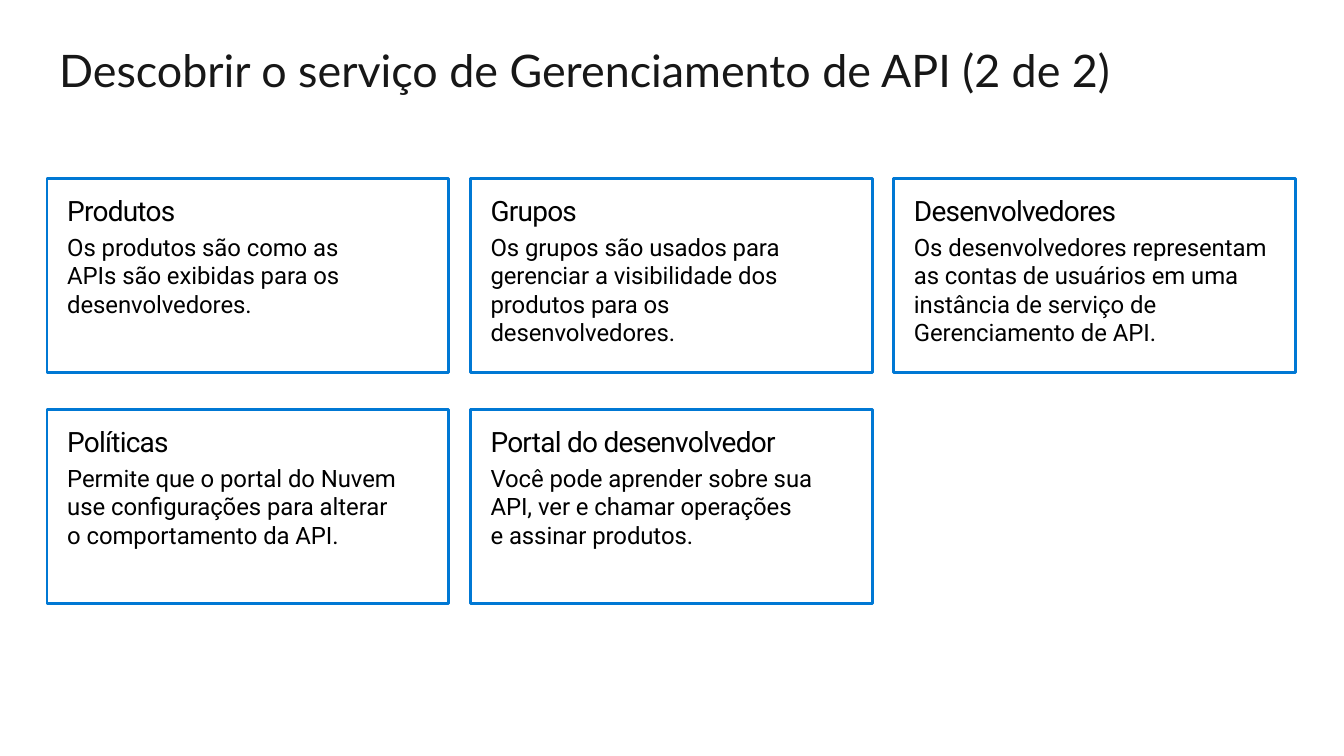
import copy

import pptx
import pptx.dml.color
import pptx.enum.shapes
import pptx.enum.text
import pptx.util

Inches, Pt = pptx.util.Inches, pptx.util.Pt

# Content
TITLE = "Descobrir o serviço de Gerenciamento de API (2 de 2)"
CARDS = [
    ("Produtos", "Os produtos são como as \nAPIs são exibidas para os desenvolvedores."),
    ("Grupos", "Os grupos são usados para gerenciar a visibilidade dos "
               "produtos para os desenvolvedores."),
    ("Desenvolvedores", "Os desenvolvedores representam as contas de usuários em uma "
                        "instância de serviço de Gerenciamento de API."),
    ("Políticas", "Permite que o portal do Nuvem \nuse configurações para alterar \n"
                  "o comportamento da API."),
    ("Portal do desenvolvedor", "Você pode aprender sobre sua API, ver e chamar operações \n"
                                "e assinar produtos."),
]

# Formats
COLORS = {"title": "171717", "text": "000000", "border": "0078D4"}
TITLE_FONT = {"name": "Lato", "size": Pt(24), "bold": False}
HEADING_FONT = {"name": "Roboto", "size": Pt(15)}
BODY_FONT = {"name": "Roboto", "size": Pt(12.75)}
TITLE_FRAME = {"word_wrap": True, "vertical_anchor": pptx.enum.text.MSO_ANCHOR.MIDDLE,
               "auto_size": pptx.enum.text.MSO_AUTO_SIZE.NONE}
CARD_FRAME = {"word_wrap": True, "vertical_anchor": pptx.enum.text.MSO_ANCHOR.TOP,
              "margin_left": Inches(0.15), "margin_top": Inches(0.11),
              "margin_right": Inches(0.15), "margin_bottom": Inches(0.07)}
LEFT_ALIGN = {"alignment": pptx.enum.text.PP_ALIGN.LEFT}
TITLE_PARAGRAPH = {**LEFT_ALIGN, "line_spacing": 0.9}
BODY_PARAGRAPH = {**LEFT_ALIGN, "space_before": Pt(2.9), "space_after": Pt(4.4)}

# Slide and card grid
SLIDE_WIDTH = Inches(10)
SLIDE_HEIGHT = SLIDE_WIDTH * 9 // 16
COLUMNS = 3
LEFT, TOP = 0.35, 1.33
WIDTH, HEIGHT = 2.99, 1.44
COLUMN_GAP, ROW_GAP = 0.16, 0.28


def rgb(name):
    return pptx.dml.color.RGBColor.from_string(COLORS[name])


def apply(target, values):
    for key, value in values.items():
        setattr(target, key, value)


def write(paragraph, text, layout, font, color):
    paragraph.text = text
    apply(paragraph, layout)
    for run in paragraph.runs:
        apply(run.font, font)
        run.font.color.rgb = rgb(color)
    # Line breaks take the text's own size
    for line_break in paragraph._p.xpath("./a:br"):
        line_break.insert(0, copy.deepcopy(paragraph.runs[0].font._rPr))


def add_card(slide, index, heading, body):
    row, column = divmod(index, COLUMNS)
    card = slide.shapes.add_shape(
        pptx.enum.shapes.MSO_SHAPE.RECTANGLE,
        Inches(LEFT + column * (WIDTH + COLUMN_GAP)),
        Inches(TOP + row * (HEIGHT + ROW_GAP)),
        Inches(WIDTH), Inches(HEIGHT))
    card.shadow.inherit = False
    card.fill.background()
    card.line.color.rgb = rgb("border")
    card.line.width = Pt(1.5)

    frame = card.text_frame
    apply(frame, CARD_FRAME)
    card_heading = frame.paragraphs[0]
    write(card_heading, heading, LEFT_ALIGN, HEADING_FONT, "text")
    card_heading.runs[0].font._rPr.set("spc", "-40")
    write(frame.add_paragraph(), body, BODY_PARAGRAPH, BODY_FONT, "text")


def main():
    deck = pptx.Presentation()
    apply(deck, {"slide_width": SLIDE_WIDTH, "slide_height": SLIDE_HEIGHT})
    slide = deck.slides.add_slide(deck.slide_layouts.get_by_name("Title Only"))

    # Title
    title = slide.shapes.title
    apply(title, {"left": Inches(0.34), "top": Inches(0),
                  "width": Inches(8.62), "height": Inches(1.09)})
    apply(title.text_frame, TITLE_FRAME)
    write(title.text_frame.paragraphs[0], TITLE, TITLE_PARAGRAPH, TITLE_FONT, "title")

    # Cards
    for index, (heading, body) in enumerate(CARDS):
        add_card(slide, index, heading, body)

    deck.save("out.pptx")


if __name__ == "__main__":
    main()
